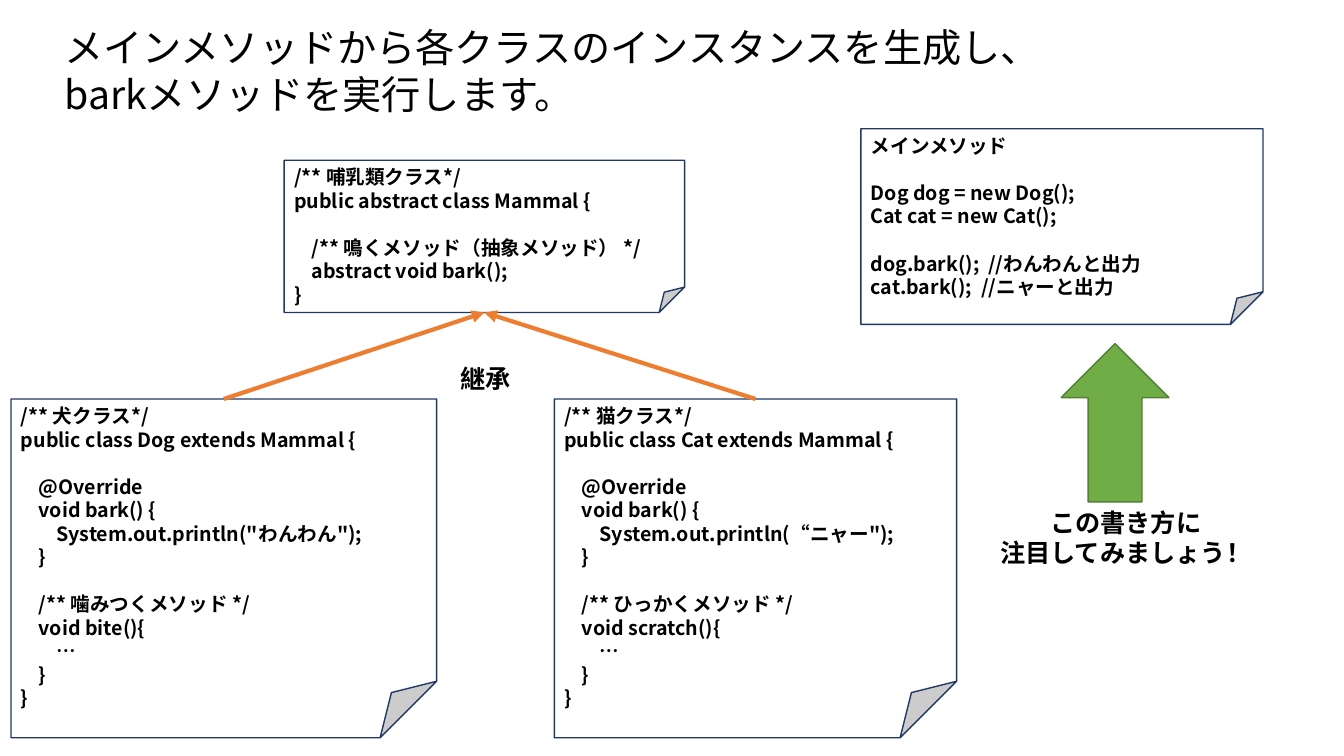
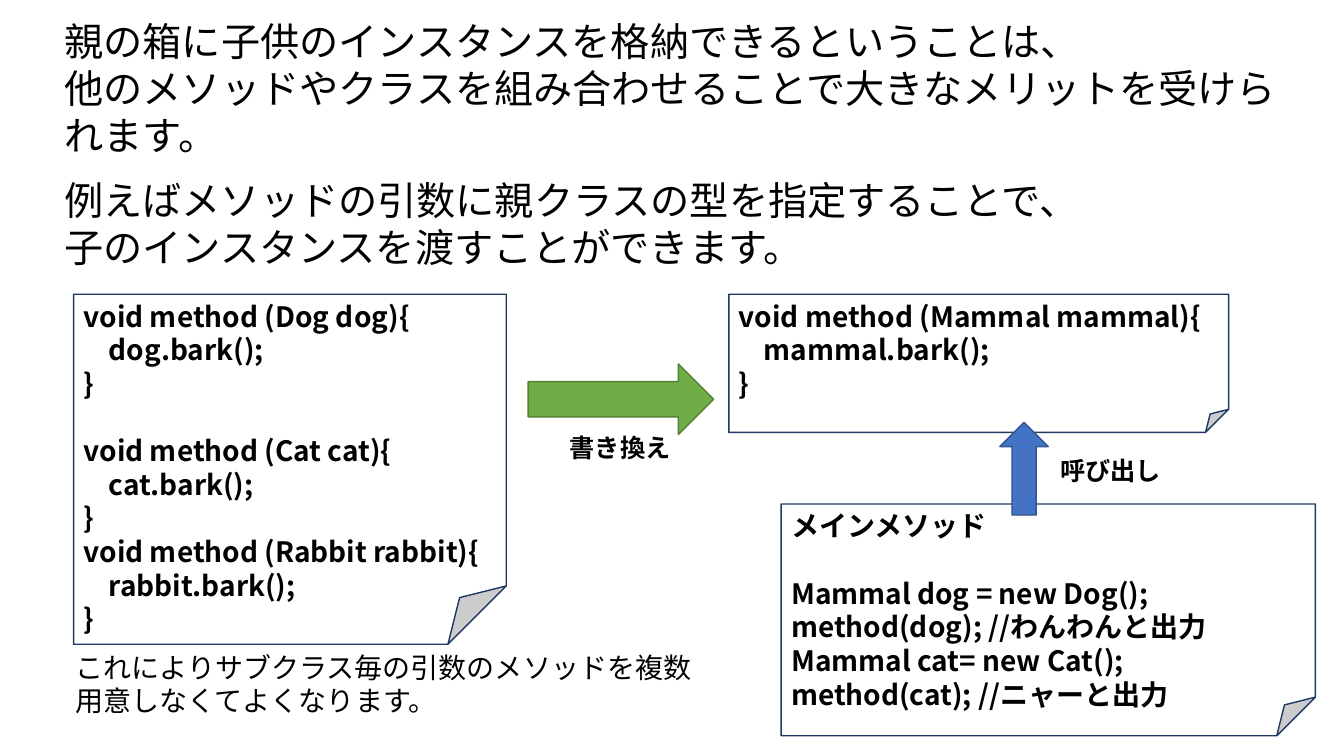
import pptx
import pptx.util
from pptx.dml.color import RGBColor
from pptx.enum.shapes import MSO_CONNECTOR, MSO_SHAPE
from pptx.enum.text import MSO_ANCHOR, MSO_AUTO_SIZE, PP_ALIGN
from pptx.oxml.ns import qn
from lxml import etree

Pt = pptx.util.Pt

# Shared style
COLORS = {
    "text": "000000", "paper": "FFFFFF", "paper_edge": "203864",
    "green": "70AD47", "green_edge": "538035",
    "blue": "4472C4", "blue_edge": "325491", "inherit": "ED7D31",
}
FONT = "Noto Sans CJK JP"
TITLE_SIZE, LABEL_SIZE = 28, 18
TEXT_LEFT, TEXT_WIDTH = 38.9, 900.7
LINE_HEIGHT = 1.2  # height of a skipped code line, in font sizes
TAB_WIDTH = 0.9    # one code indent, in font sizes


def color(name):
    return RGBColor.from_string(COLORS[name])


# Text
def add_run(p, text, size, bold):
    r = p.add_run()
    r.text = text
    r.font.name = FONT
    r.font.size = Pt(size)
    r.font.bold = bold
    r.font.color.rgb = color("text")
    etree.SubElement(r.font._element, qn("a:ea"), typeface=FONT)


def fill_text(tf, lines, size, bold=False, align=PP_ALIGN.LEFT):
    """One paragraph a line; tabs become indents, empty lines become spacing."""
    tf.word_wrap = True
    tf.vertical_anchor = MSO_ANCHOR.TOP
    p, gap = tf.paragraphs[0], 0
    for i, line in enumerate(lines):
        if not line:
            gap += size * LINE_HEIGHT
            continue
        if i:
            p = tf.add_paragraph()
        p.alignment = align
        p.space_before = Pt(gap)
        text = line.lstrip("\t")
        level = len(line) - len(text)
        if level:
            indent = Pt(level * size * TAB_WIDTH)
            p._p.get_or_add_pPr().set("marL", str(int(indent)))
        add_run(p, text, size, bold)
        gap = 0


def place(sp, left, top, width, height):
    sp.left, sp.top = Pt(left), Pt(top)
    sp.width, sp.height = Pt(width), Pt(height)


def add_title(s, top, height, lines):
    sp = s.shapes.title
    place(sp, TEXT_LEFT, top, TEXT_WIDTH, height)
    sp.text_frame.auto_size = MSO_AUTO_SIZE.NONE
    fill_text(sp.text_frame, lines, TITLE_SIZE)


def add_text(s, box, lines, size, bold=False, align=PP_ALIGN.LEFT):
    sp = s.shapes.add_textbox(*map(Pt, box))
    fill_text(sp.text_frame, lines, size, bold, align)


def add_label(s, box, *lines):
    add_text(s, box, lines, LABEL_SIZE, True, PP_ALIGN.CENTER)


# Shapes
def add_preset(s, kind, box, fill):
    sp = s.shapes.add_shape(kind, *map(Pt, box))
    sp.shadow.inherit = False
    sp.fill.solid()
    sp.fill.fore_color.rgb = color(fill)
    sp.line.color.rgb = color(fill + "_edge")
    sp.line.width = Pt(1)
    return sp


def add_note(s, box, lines, size):
    sp = add_preset(s, MSO_SHAPE.FOLDED_CORNER, box, "paper")
    fill_text(sp.text_frame, lines, size, bold=True)
    return sp


def add_inheritance(s, child, parent):
    c = s.shapes.add_connector(MSO_CONNECTOR.STRAIGHT, 0, 0, 0, 0)
    c.begin_connect(child, 0)
    c.end_connect(parent, 2)
    c.line.color.rgb = color("inherit")
    c.line.width = Pt(3)
    etree.SubElement(c.line._get_or_add_ln(), qn("a:tailEnd"), type="triangle")
    etree.SubElement(c._element.spPr, qn("a:effectLst"))


# Code listings
def child_class(animal, name, sound, action, method):
    return [
        f"/** {animal}クラス*/",
        f"public class {name} extends Mammal {{",
        "",
        "\t@Override",
        "\tvoid bark() {",
        f"\t\tSystem.out.println({sound});",
        "\t}",
        "",
        f"\t/** {action}メソッド */",
        f"\tvoid {method}(){{",
        "\t\t…",
        "\t}",
        "}",
    ]


def bark_method(name):
    return [f"void method ({name.capitalize()} {name}){{", f"\t{name}.bark();", "}"]


# Slides
def inheritance_slide(s):
    add_title(s, 13, 75, ["メインメソッドから各クラスのインスタンスを生成し、",
                          "barkメソッドを実行します。"])
    dog = add_note(s, (7.9, 285, 304, 242),
                   child_class("犬", "Dog", '"わんわん"', "噛みつく", "bite"), 14)
    cat = add_note(s, (396, 285, 287.3, 242),
                   child_class("猫", "Cat", '“ニャー"', "ひっかく", "scratch"), 14)
    mammal = add_note(s, (203, 114.5, 286, 108.7), [
        "/** 哺乳類クラス*/",
        "public abstract class Mammal {",
        "",
        "\t/** 鳴くメソッド（抽象メソッド） */",
        "\tabstract void bark();",
        "}",
    ], 14)
    for child in (dog, cat):
        add_inheritance(s, child, mammal)
    add_label(s, (321, 256.3, 51.5, 29), "継承")
    add_note(s, (614.9, 92, 287.3, 139.7), [
        "メインメソッド",
        "",
        "Dog dog = new Dog();",
        "Cat cat = new Cat();",
        "",
        "dog.bark();  //わんわんと出力",
        "cat.bark();  //ニャーと出力",
    ], 14)
    add_preset(s, MSO_SHAPE.UP_ARROW, (758, 245.5, 77, 113), "green")
    add_label(s, (705.6, 358.6, 197, 51), "この書き方に", "注目してみましょう！")


def parent_type_slide(s):
    add_title(s, 8.6, 108.7, [
        "親の箱に子供のインスタンスを格納できるということは、",
        "他のメソッドやクラスを組み合わせることで大きなメリットを受けられます。",
    ])
    add_text(s, (TEXT_LEFT, 122.4, TEXT_WIDTH, 75), [
        "例えばメソッドの引数に親クラスの型を指定することで、",
        "子のインスタンスを渡すことができます。",
    ], TITLE_SIZE)

    # Rewriting three methods into one
    add_note(s, (52.6, 210.2, 309, 250),
             bark_method("dog") + [""] + bark_method("cat") + bark_method("rabbit"), 20)
    add_preset(s, MSO_SHAPE.RIGHT_ARROW, (377.3, 260, 132.5, 50.4), "green")
    add_label(s, (398.5, 305.3, 89, 29), "書き換え")
    add_note(s, (520.6, 210.2, 357, 98.7), bark_method("mammal"), 20)
    add_text(s, (46.8, 460.8, 463, 55.4),
             ["これによりサブクラス毎の引数のメソッドを複数用意しなくてよくなります。"], 20)

    # Calling it from the main method
    add_note(s, (558, 360, 381.6, 165.6), [
        "メインメソッド",
        "",
        "Mammal dog = new Dog();",
        "method(dog); //わんわんと出力",
        "Mammal cat= new Cat();",
        "method(cat); //ニャーと出力",
    ], 20)
    add_preset(s, MSO_SHAPE.UP_ARROW, (714.2, 301.7, 34.6, 66.2), "blue")
    add_label(s, (748.8, 321.8, 89, 29), "呼び出し")


def main():
    prs = pptx.Presentation()
    prs.slide_width, prs.slide_height = Pt(960), Pt(540)
    title_only = prs.slide_layouts[5]
    for build in (inheritance_slide, parent_type_slide):
        build(prs.slides.add_slide(title_only))
    prs.save("out.pptx")


main()
